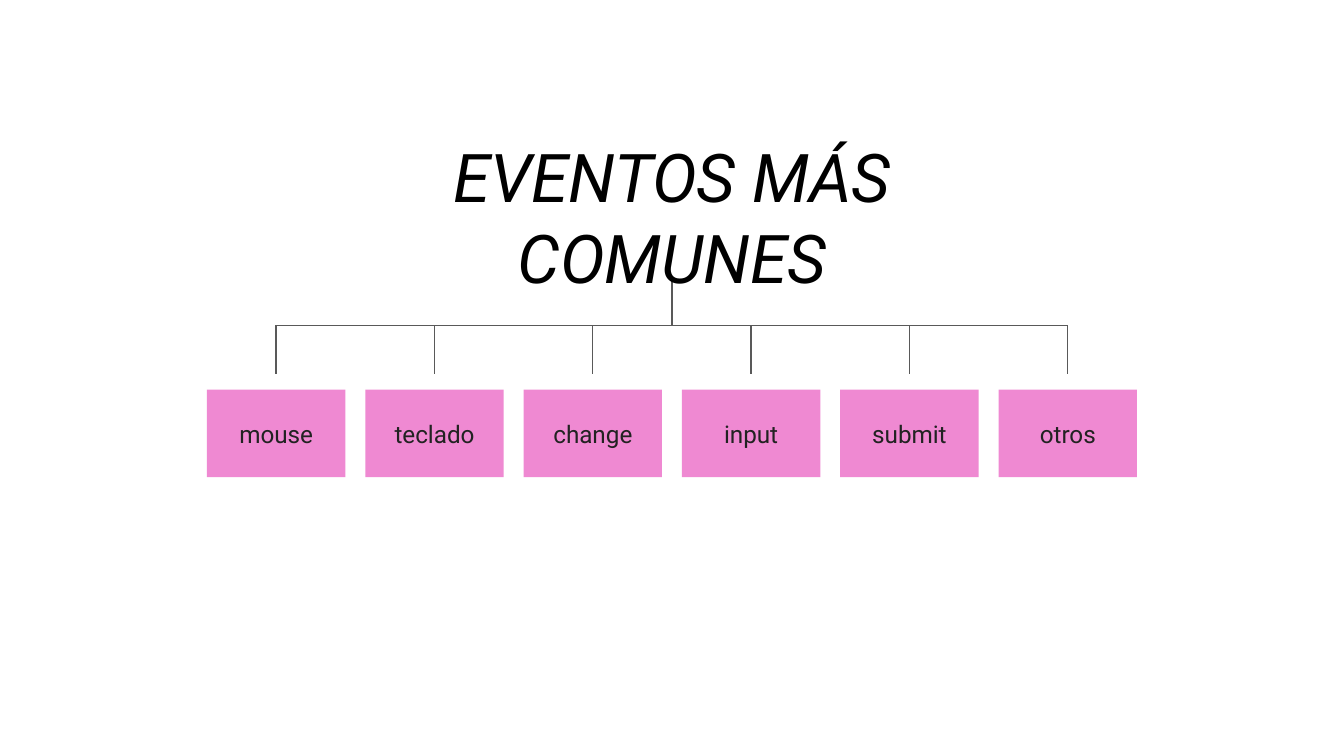
import pptx
import pptx.dml.color
import pptx.enum.shapes
import pptx.enum.text
import pptx.oxml.ns
import pptx.util
from lxml import etree
from pptx.util import Inches

PINK = pptx.dml.color.RGBColor(0xEF, 0x89, 0xD2)
DARK = pptx.dml.color.RGBColor(0x22, 0x22, 0x22)
GREY = pptx.dml.color.RGBColor(0x59, 0x59, 0x59)
BLACK = pptx.dml.color.RGBColor(0, 0, 0)
FONT = "Roboto"
EVENTS = ["mouse", "teclado", "change", "input", "submit", "otros"]


def set_text(shape, text, size, color, italic=False):
    frame = shape.text_frame
    frame.text = text
    frame.word_wrap = True
    frame.auto_size = pptx.enum.text.MSO_AUTO_SIZE.NONE
    frame.vertical_anchor = pptx.enum.text.MSO_ANCHOR.MIDDLE
    frame.margin_left = frame.margin_right = Inches(0.1)
    frame.margin_top = frame.margin_bottom = Inches(0.1)
    paragraph = frame.paragraphs[0]
    paragraph.alignment = pptx.enum.text.PP_ALIGN.CENTER
    font = paragraph.runs[0].font
    font.name = FONT
    font.size = pptx.util.Pt(size)
    font.italic = italic
    font.color.rgb = color


def add_line(slide, start_x, start_y, end_x, end_y):
    line = slide.shapes.add_connector(
        pptx.enum.shapes.MSO_CONNECTOR.STRAIGHT,
        Inches(start_x), Inches(start_y), Inches(end_x), Inches(end_y))
    line.line.color.rgb = GREY
    line.line.width = pptx.util.Pt(0.75)
    etree.SubElement(line.element.spPr, pptx.oxml.ns.qn("a:effectLst"))


def add_event_tree(slide, left, top, width, height):
    box_width, box_height = 1.03, 0.65
    step = (width - box_width) / (len(EVENTS) - 1)
    box_top = top + height - box_height
    bar_y = top + 0.35
    centers = [left + box_width / 2 + index * step for index in range(len(EVENTS))]

    for event, center in zip(EVENTS, centers):
        box = slide.shapes.add_shape(
            pptx.enum.shapes.MSO_SHAPE.RECTANGLE,
            Inches(center - box_width / 2), Inches(box_top),
            Inches(box_width), Inches(box_height))
        box.shadow.inherit = False
        box.fill.solid()
        box.fill.fore_color.rgb = PINK
        box.line.fill.background()
        set_text(box, event, 13, DARK)

    middle = left + width / 2
    add_line(slide, centers[0], bar_y, centers[-1], bar_y)
    add_line(slide, middle, top, middle, bar_y)
    for center in centers:
        add_line(slide, center, bar_y, center, box_top - 0.12)


def place_title(slide, left, top, width, height):
    title = slide.shapes.title
    title.left, title.top = Inches(left), Inches(top)
    title.width, title.height = Inches(width), Inches(height)
    set_text(title, "EVENTOS MÁS COMUNES", 36, BLACK, italic=True)
    title.element.getparent().append(title.element)


def main():
    presentation = pptx.Presentation()
    presentation.slide_width = Inches(10)
    presentation.slide_height = Inches(10) * 9 // 16
    slide = presentation.slides.add_slide(presentation.slide_layouts[5])
    add_event_tree(slide, 1.54, 2.07, 6.92, 1.48)
    place_title(slide, 2.39, 1.07, 5.22, 1.08)
    presentation.save("out.pptx")


if __name__ == "__main__":
    main()
